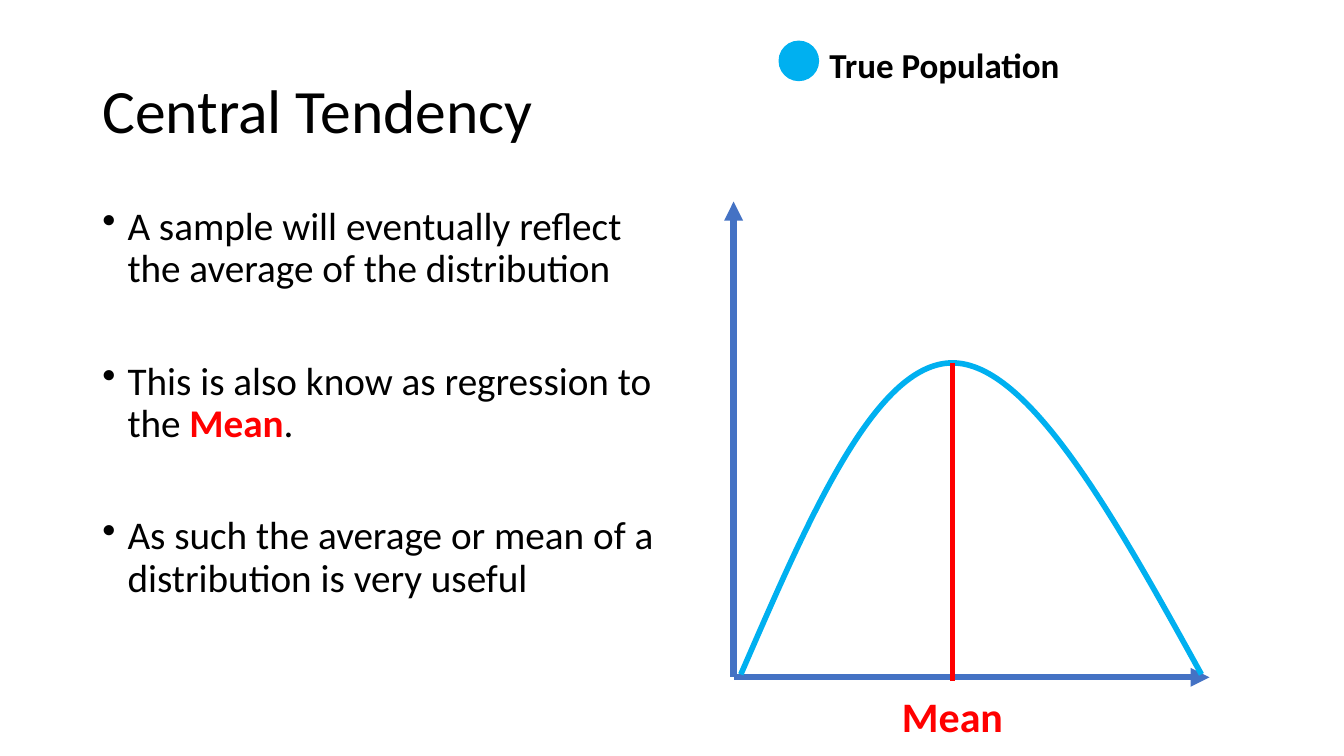
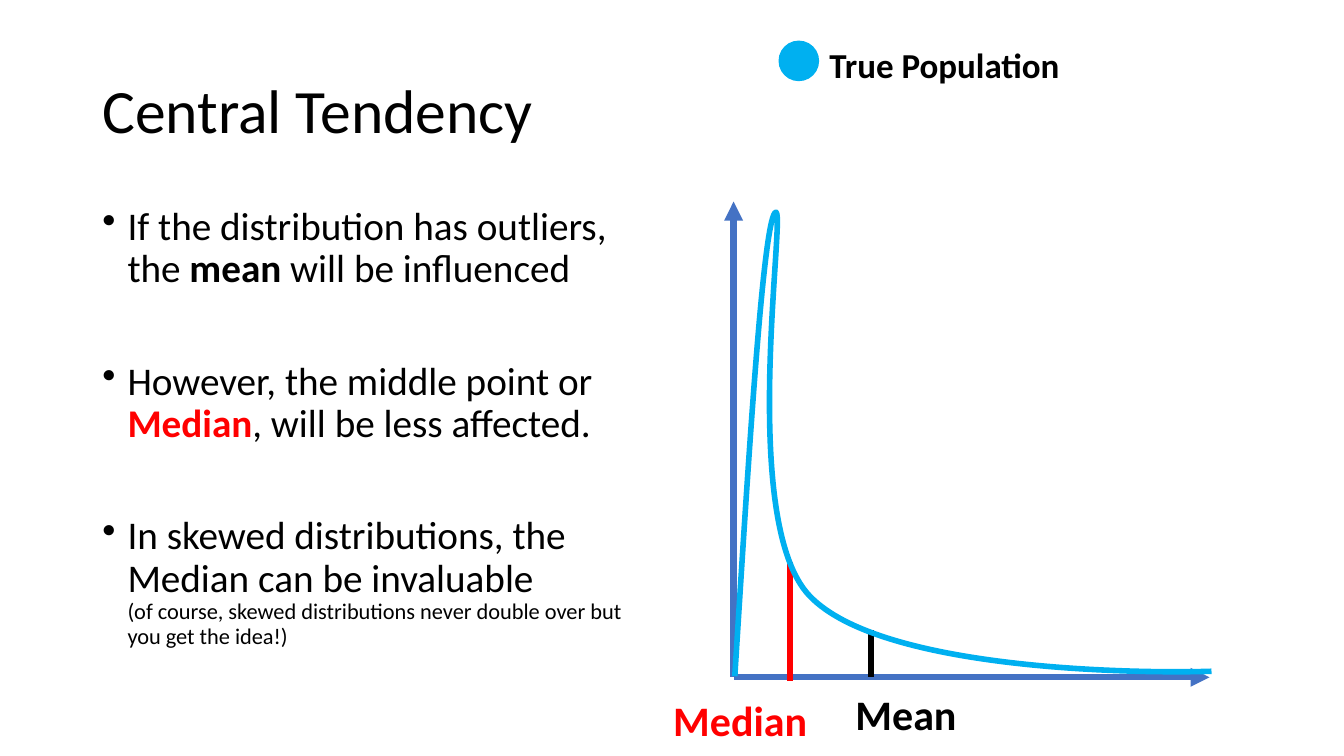
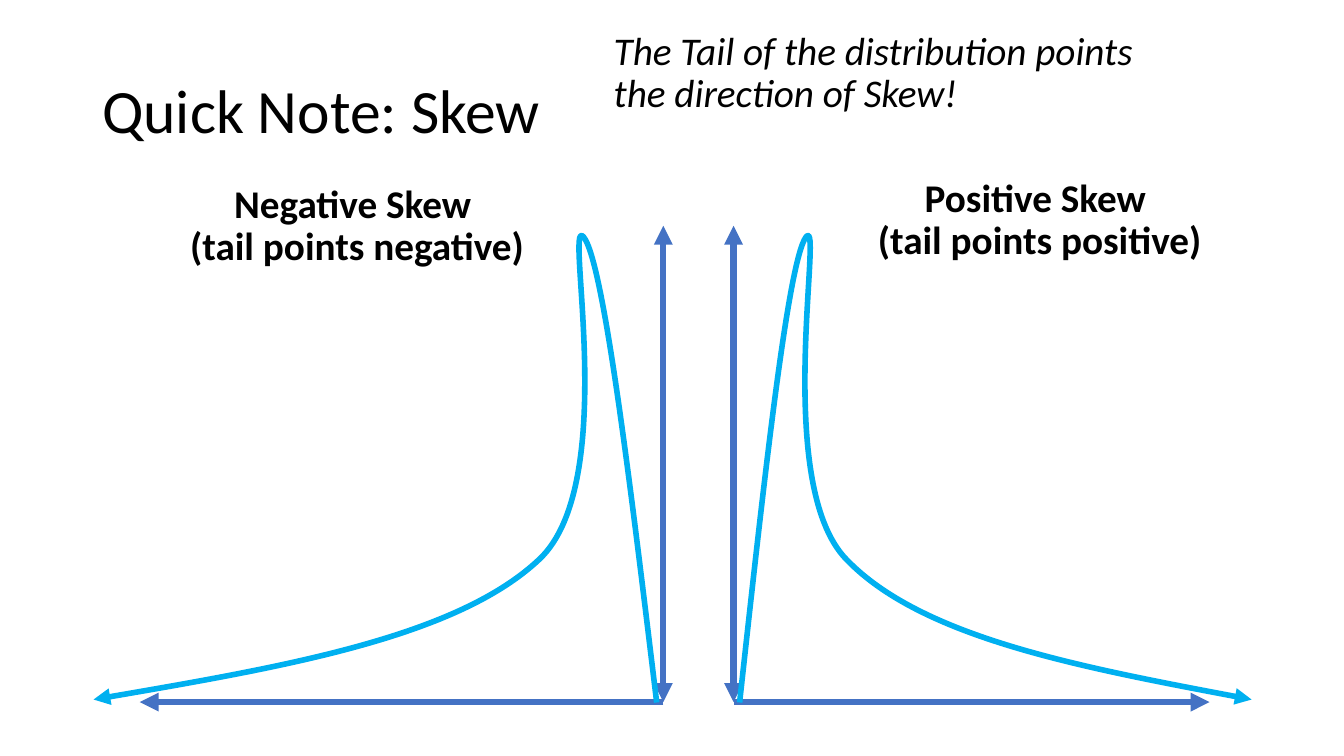
from lxml import etree
from pptx import Presentation
from pptx.dml.color import RGBColor
from pptx.enum import shapes, text
from pptx.oxml import ns
from pptx.util import Pt


class Theme:
    font = "Calibri"
    black = RGBColor(0, 0, 0)
    red = RGBColor(0xFF, 0, 0)
    axis = RGBColor(0x44, 0x72, 0xC4)
    curve = RGBColor(0, 0xB0, 0xF0)
    title, label, body, key, note = 44, 30, 28, 25, 16
    thick, line = 4.5, 4


def write(slide, box, paras, size, color=Theme.black, bold=False,
          italic=False, wrap=True, align=None, bullet=False, tight=True):
    """Add a text box; each paragraph is a list of (text, run look)."""
    shape = slide.shapes.add_textbox(*map(Pt, box))
    frame = shape.text_frame
    frame.word_wrap = wrap
    if not wrap:
        frame.auto_size = text.MSO_AUTO_SIZE.SHAPE_TO_FIT_TEXT
    for i, runs in enumerate(paras):
        par = frame.paragraphs[0] if i == 0 else frame.add_paragraph()
        font = par.font
        font.name, font.size, font.bold, font.italic = Theme.font, Pt(size), bold, italic
        font.color.rgb = color
        par.alignment = align
        if tight:
            par.line_spacing = 0.9
        if i:
            par.space_before = Pt(50)
        if bullet:
            props = par._p.get_or_add_pPr()
            props.set("marL", str(Pt(18)))
            props.set("indent", str(-Pt(18)))
            mark = etree.Element(ns.qn("a:buChar"), char="•")
            props.find(ns.qn("a:defRPr")).addprevious(mark)
        for words, look in runs:
            for n, part in enumerate(words.split("\n")):
                if n:
                    par.add_line_break()
                if part:
                    run = par.add_run()
                    run.text = part
                    if "bold" in look:
                        run.font.bold = look["bold"]
                    if "color" in look:
                        run.font.color.rgb = look["color"]
                    if "size" in look:
                        run.font.size = Pt(look["size"])
    return frame


def stroke(slide, pts, color, width, ends=()):
    """Two points give a line; more give a chain of cubic curves."""
    pts = [(Pt(x), Pt(y)) for x, y in pts]
    if len(pts) == 2:
        shape = slide.shapes.add_connector(
            shapes.MSO_CONNECTOR.STRAIGHT, *pts[0], *pts[1])
    else:
        maker = slide.shapes.build_freeform(*pts[0])
        maker.add_line_segments(pts[1:], close=False)
        shape = maker.convert_to_shape()
        shape.fill.background()
        # Each three line steps become one curve
        steps = list(shape._element.iter(ns.qn("a:lnTo")))
        for i in range(0, len(steps), 3):
            bend = etree.Element(ns.qn("a:cubicBezTo"))
            steps[i].addprevious(bend)
            for step in steps[i:i + 3]:
                bend.append(step[0])
                step.getparent().remove(step)
    shape.line.color.rgb = color
    shape.line.width = Pt(width)
    props = shape._element.spPr
    for end in ends:
        etree.SubElement(props.find(ns.qn("a:ln")), ns.qn("a:" + end), type="triangle")
    etree.SubElement(props, ns.qn("a:effectLst"))


deck = Presentation()
deck.slide_width, deck.slide_height = Pt(960), Pt(540)

plain = {}
strong = {"bold": True}
hot = {"bold": True, "color": Theme.red}
small = {"size": Theme.note}

# Slides with bullets and a chart: bullets, strokes in order, labels
plots = [
    (
        [
            [("A sample will eventually reflect the average of the distribution", plain)],
            [("This is also know as regression to the ", plain), ("Mean", hot), (".", plain)],
            [("As such the average or mean of a distribution is very useful", plain)],
        ],
        [
            ([(529.2, 481.7), (577.4, 370.8), (625, 259.2), (680.4, 259.2),
              (735, 259.2), (797, 370.8), (858.2, 481.7)], Theme.curve),
            ([(680.4, 259.2), (680.4, 486.7)], Theme.red),
        ],
        [("Mean", (637.2, 489.6, 88, 44), Theme.red)],
    ),
    (
        [
            [("If the distribution has outliers, the ", plain), ("mean ", strong),
             ("will be influenced", plain)],
            [("However, the middle point or ", plain), ("Median", hot),
             (", will be less affected.", plain)],
            [("In skewed distributions, the Median can be invaluable\n", plain),
             ("(of course, skewed distributions never double over but you get the idea!)",
              small)],
        ],
        [
            ([(622, 450), (622, 483.8)], Theme.black),
            ([(564.5, 401.8), (564.5, 486.7)], Theme.red),
            ([(524.9, 483), (535, 322), (545, 161.3), (553.7, 151.9),
              (563, 141.8), (526.3, 370.8), (578.2, 425.5),
              (630, 480.2), (820, 481), (865.4, 479.5)], Theme.curve),
        ],
        [("Mean", (604, 488.2, 88, 44), Theme.black),
         ("Median", (473.8, 492.5, 111, 44), Theme.red)],
    ),
]

# Titles, shared by all slides
pages = []
for name in ("Central Tendency", "Central Tendency", "Quick Note: Skew"):
    page = deck.slides.add_slide(deck.slide_layouts[6])
    frame = write(page, (66, 28.8, 828, 104.4), [[(name, plain)]], Theme.title)
    frame.vertical_anchor = text.MSO_ANCHOR.MIDDLE
    pages.append(page)

for page, (points, strokes, labels) in zip(pages, plots):
    write(page, (66, 144, 408, 342.6), points, Theme.body, bullet=True)

    # Axes
    stroke(page, [(524, 144), (524, 483.8)], Theme.axis, Theme.thick, ["headEnd"])
    stroke(page, [(524, 483.8), (864, 483.8)], Theme.axis, Theme.thick, ["tailEnd"])

    # Legend
    dot = page.shapes.add_shape(
        shapes.MSO_SHAPE.OVAL, Pt(556.6), Pt(29.5), Pt(28), Pt(28))
    dot.shadow.inherit = False
    dot.fill.solid()
    dot.fill.fore_color.rgb = dot.line.color.rgb = Theme.curve
    dot.line.width = Pt(1)
    write(page, (585.4, 27.4, 180.7, 37.4), [[("True Population", plain)]],
          Theme.key, bold=True, wrap=False, tight=False)

    # Curve, markers and their labels
    for pts, color in strokes:
        stroke(page, pts, color, Theme.line)
    for words, box, color in labels:
        write(page, box, [[(words, plain)]], Theme.label, color,
              bold=True, wrap=False, tight=False)

# Skew slide
page = pages[2]
write(page, (431.3, 18.7, 408, 342.6),
      [[("The Tail of the distribution points the direction of Skew!", plain)]],
      Theme.body, italic=True)

# One skewed curve as (distance from the axis, height), drawn both ways
tail = [(4.3, 501.8), (21.6, 344.2), (38.9, 186.5), (51.8, 169.2),
        (64.8, 152.6), (27.4, 344.9), (80.6, 399.6),
        (134, 455), (252, 477.4), (370, 499.7)]
sides = [
    (524, 1, "Positive Skew \n(tail points positive)", (538.6, 123.8)),
    (473.8, -1.1, "Negative Skew \n(tail points negative)", (51, 128.2)),
]
for base, scale, words, spot in sides:
    stroke(page, [(base, 161.3), (base, 501.5)], Theme.axis, Theme.thick,
           ["headEnd", "tailEnd"])
    stroke(page, [(base, 501.5), (base + scale * 340, 501.5)], Theme.axis,
           Theme.thick, ["tailEnd"])
    stroke(page, [(base + scale * x, y) for x, y in tail], Theme.curve,
           Theme.line, ["tailEnd"])
    write(page, (*spot, 408, 342.6), [[(words, plain)]], Theme.body,
          bold=True, align=text.PP_ALIGN.CENTER)

deck.save("out.pptx")
